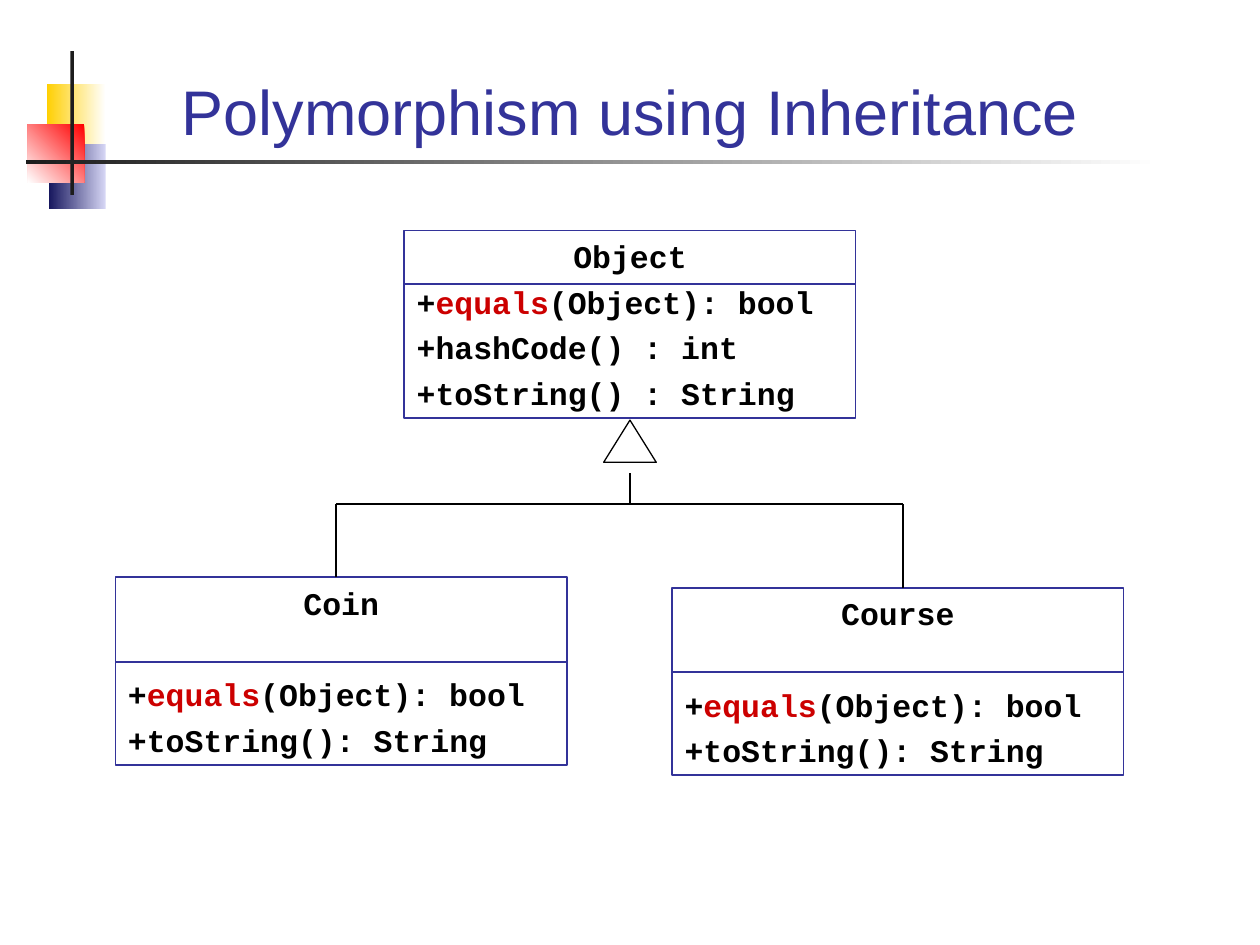
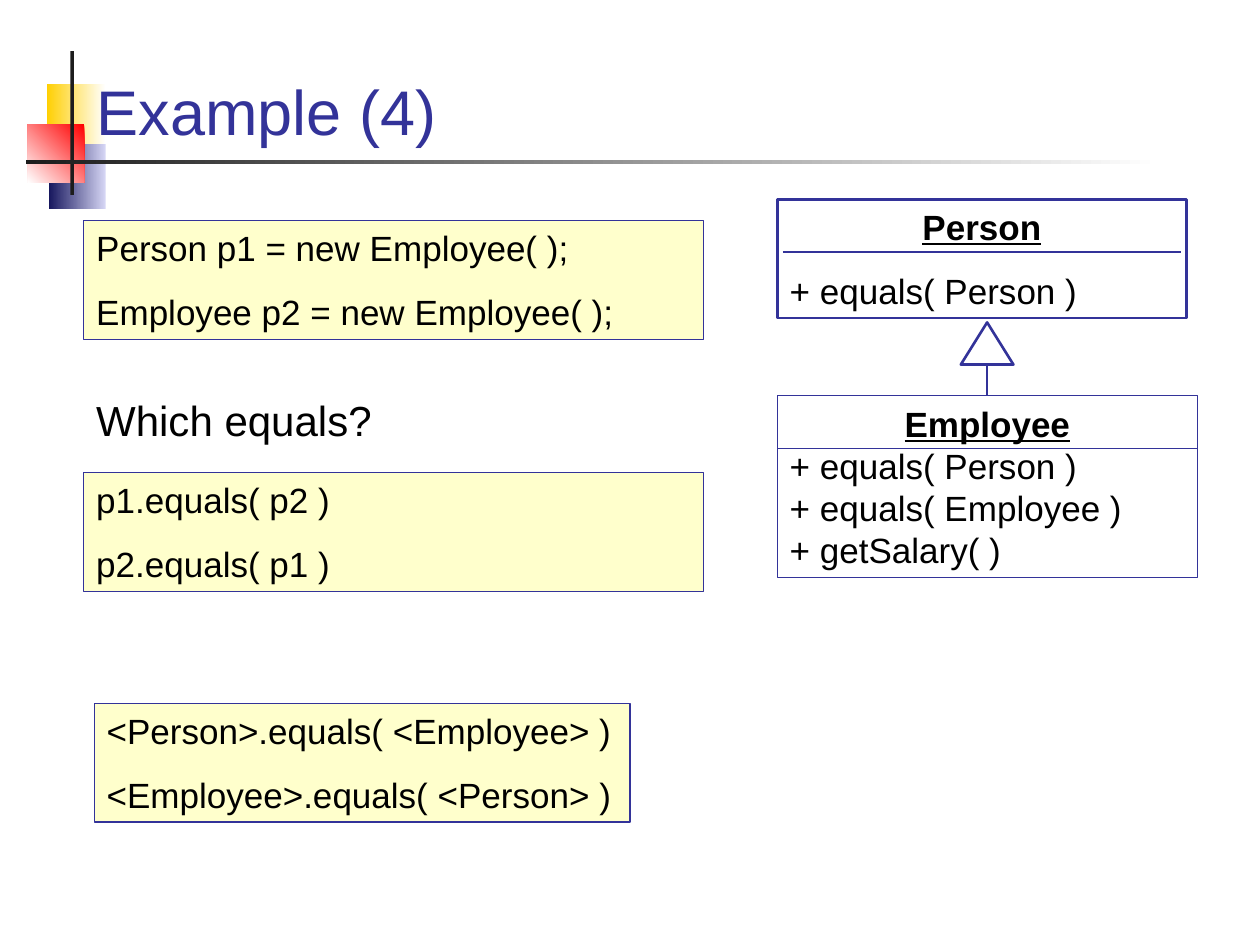
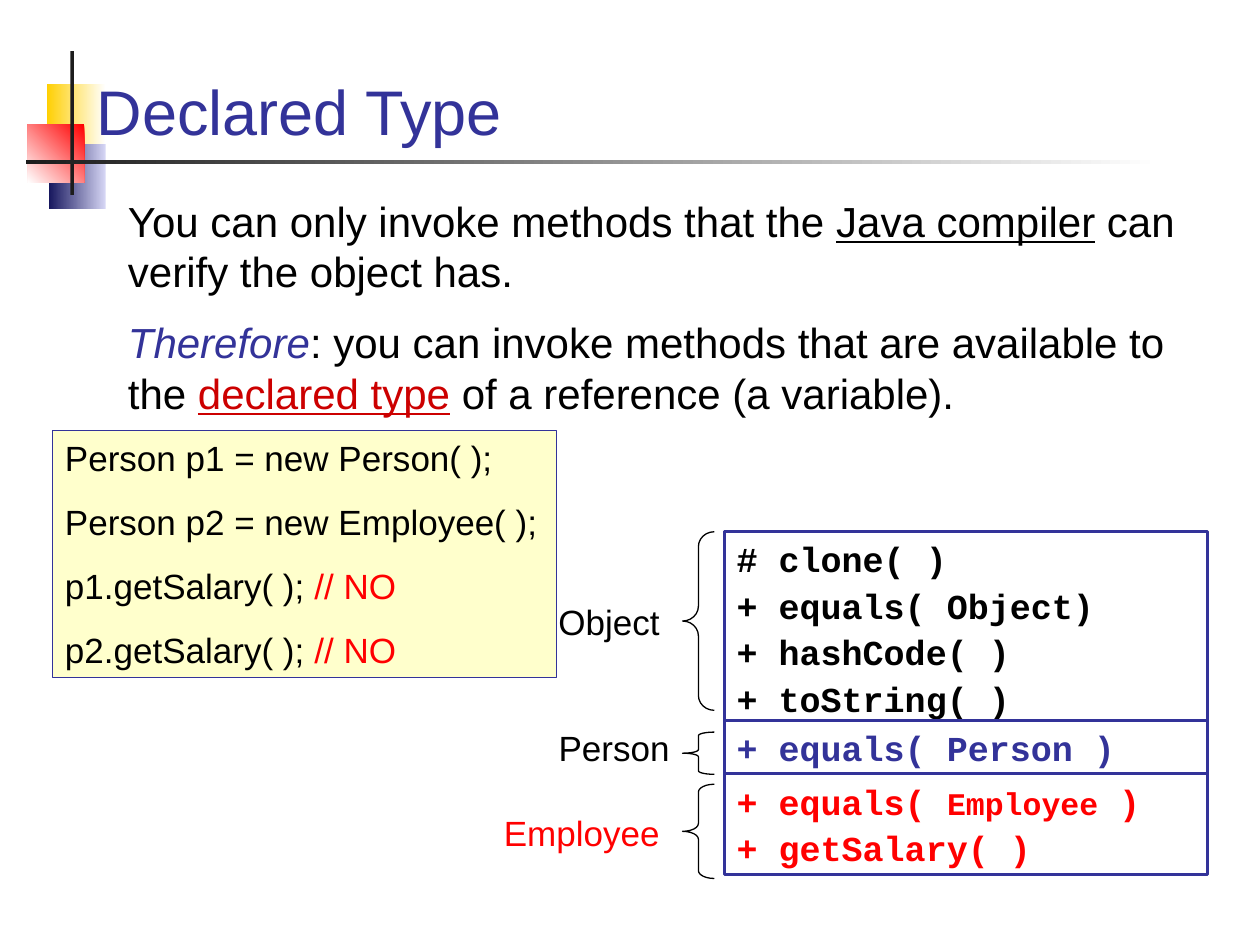
from lxml.etree import SubElement
from pptx import Presentation
from pptx.dml.color import RGBColor
from pptx.enum.shapes import MSO_CONNECTOR, MSO_SHAPE
from pptx.enum.text import MSO_ANCHOR, PP_ALIGN
from pptx.oxml.ns import qn
from pptx.util import Cm, Pt

BLUE, BLACK, WHITE = "333399", "000000", "FFFFFF"
CRIMSON, RED, CREAM, DARK = "CC0000", "FF0000", "FFFFCC", "1C1C1C"
SANS, MONO = "Arial", "Courier New"
hue = RGBColor.from_string


def box(slide, place, fill=None, edge=None, width=0.75, kind=MSO_SHAPE.RECTANGLE):
    """Add a preset shape at place (left, top, width, height in cm)."""
    shape = slide.shapes.add_shape(kind, *map(Cm, place))
    shape.shadow.inherit = False
    if fill:
        shape.fill.solid()
        shape.fill.fore_color.rgb = hue(fill)
    else:
        shape.fill.background()
    if edge:
        shape.line.color.rgb = hue(edge)
        shape.line.width = Pt(width)
    else:
        shape.line.fill.background()
    return shape


def write(shape, paras, font=SANS, size=20, gap=12.5):
    """Fill a shape with paragraphs of (text, colour, marks) runs; marks are b, i, u."""
    frame = shape.text_frame
    frame.word_wrap = True
    frame.vertical_anchor = MSO_ANCHOR.TOP
    for i, runs in enumerate(paras):
        para = frame.paragraphs[0] if i == 0 else frame.add_paragraph()
        para.alignment = PP_ALIGN.LEFT
        para.space_before = Pt(gap if i else 0)
        for text, color, marks in runs:
            run = para.add_run()
            run.text = text
            run.font.name, run.font.size = font, Pt(size)
            run.font.color.rgb = hue(color)
            run.font.bold = "b" in marks
            run.font.italic = "i" in marks
            run.font.underline = "u" in marks
    return frame.paragraphs


deck = Presentation()
deck.slide_width, deck.slide_height = Cm(25.4), Cm(19.05)
layout = deck.slide_layouts[5]

# Title place, shared by all slides
head = layout.placeholders[0]
head.left, head.top, head.width, head.height = Cm(1.7), Cm(0.71), Cm(22), Cm(2.41)
head.text_frame.vertical_anchor = MSO_ANCHOR.BOTTOM

slides = []
for title, align in [
    ("Polymorphism using Inheritance", PP_ALIGN.CENTER),
    ("Example (4)", PP_ALIGN.LEFT),
    ("Declared Type", PP_ALIGN.LEFT),
]:
    slide = deck.slides.add_slide(layout)
    para = slide.shapes.title.text_frame.paragraphs[0]
    para.alignment = align
    run = para.add_run()
    run.text = title
    run.font.name, run.font.size = SANS, Pt(36)
    run.font.color.rgb = hue(BLUE)
    slides.append(slide)
family, example, declared = slides

# Corner squares and bars, moved to the layout behind its title
for i, (place, start, end, angle) in enumerate([
    ((0.94, 1.7, 1.19, 1.32), WHITE, "FFCF01", 180),
    ((0.99, 2.9, 1.14, 1.32), "D6D6F5", "17175E", 180),
    ((0.56, 2.51, 1.14, 1.17), RED, WHITE, 225),
    ((1.42, 1.02, 0.08, 2.92), DARK, DARK, 180),
    ((0.53, 3.23, 22.86, 0.08), WHITE, DARK, 180),
]):
    part = box(family, place)
    part.fill.gradient()
    part.fill.gradient_angle = angle
    for stop, color in zip(part.fill.gradient_stops, (start, end)):
        stop.color.rgb = hue(color)
    part.element.nvSpPr.cNvPr.set("id", str(100 + i))
    layout.shapes.element.insert(2 + i, part.element)

# Slide 1: class tree
equals = [("+", BLACK, "b"), ("equals", CRIMSON, "b"), ("(Object): bool", BLACK, "b")]
for name, left, top, methods, drop in [
    ("Object", 8.15, 4.65, ["+hashCode() : int", "+toString() : String"], 4.5),
    ("Coin", 2.33, 11.64, ["+toString(): String"], 30.8),
    ("Course", 13.55, 11.85, ["+toString(): String"], 30.8),
]:
    card = box(family, (left, top, 9.1, 3.78), edge=BLUE, width=1)
    rows = [[(name, BLACK, "b")], equals] + [[(text, BLACK, "b")] for text in methods]
    paras = write(card, rows, MONO, 18, 4.5)
    paras[0].alignment = PP_ALIGN.CENTER
    paras[1].space_before = Pt(drop)
box(family, (12.17, 8.47, 1.06, 0.85), WHITE, BLACK, kind=MSO_SHAPE.ISOSCELES_TRIANGLE)

# Slide 2: classes and code
for name, place, width, gap, methods in [
    ("Person", (15.67, 4.02, 8.25, 2.39), 1.5, 12.5, ["+ equals( Person )"]),
    ("Employee", (15.67, 7.98, 8.47, 3.66), 0.75, 0,
     ["+ equals( Person )", "+ equals( Employee )", "+ getSalary( )"]),
]:
    card = box(example, place, edge=BLUE, width=width)
    rows = [[(name, BLACK, "bu")]] + [[(text, BLACK, "")] for text in methods]
    write(card, rows, gap=gap)[0].alignment = PP_ALIGN.CENTER
box(example, (19.37, 6.5, 1.06, 0.85), edge=BLUE, width=1.5,
    kind=MSO_SHAPE.ISOSCELES_TRIANGLE)

for left, top, width, code in [
    (1.69, 4.45, 12.5, ["Person p1 = new Employee( );", "Employee p2 = new Employee( );"]),
    (1.69, 9.53, 12.5, ["p1.equals( p2 )", "p2.equals( p1 )"]),
    (1.9, 14.18, 10.8, ["<Person>.equals( <Employee> )", "<Employee>.equals( <Person> )"]),
]:
    panel = box(example, (left, top, width, 2.39), CREAM, BLUE)
    write(panel, [[(text, BLACK, "")] for text in code])
ask = example.shapes.add_textbox(Cm(1.69), Cm(7.83), Cm(12.5), Cm(1.27))
write(ask, [[("Which equals?", BLACK, "")]], size=24)

# Slide 3: rule, code and methods by class
body = declared.shapes.add_textbox(Cm(2.33), Cm(3.81), Cm(21.8), Cm(4.9))
write(body, [
    [("You can only invoke methods that the ", BLACK, ""),
     ("Java compiler", BLACK, "u"),
     (" can verify the object has.", BLACK, "")],
    [("Therefore", BLUE, "i"),
     (": you can invoke methods that are available to the ", BLACK, ""),
     ("declared type", CRIMSON, "u"),
     (" of a reference (a variable).", BLACK, "")],
], size=24, gap=12)

panel = box(declared, (1.06, 8.68, 10.16, 4.98), CREAM, BLUE)
write(panel, [
    [("Person p1 = new Person( );", BLACK, "")],
    [("Person p2 = new Employee( );", BLACK, "")],
    [("p1.getSalary( ); ", BLACK, ""), ("// NO", RED, "")],
    [("p2.getSalary( ); ", BLACK, ""), ("// NO", RED, "")],
])

for top, high, color, methods in [
    (10.72, 3.91, BLACK,
     [["# clone( )"], ["+ equals( Object)"], ["+ hashCode( )"], ["+ toString( )"]]),
    (14.52, 1.11, BLUE, [["+ equals( Person )"]]),
    (15.6, 2.03, RED, [["+ equals( ", "Employee", " )"], ["+ getSalary( )"]]),
]:
    card = box(declared, (14.6, top, 9.74, high), WHITE, BLUE, 1.5)
    rows = [[(text, color, "b") for text in parts] for parts in methods]
    paras = write(card, rows, MONO, gap=2.5)
paras[0].runs[1].font.size = Pt(18)

for name, color, left, top, start, high in [
    ("Object", BLACK, 9.53, 11.98, 10.72, 3.6),
    ("Person", BLACK, 9.73, 14.52, 14.76, 0.85),
    ("Employee", RED, 9.53, 16.24, 15.81, 1.9),
]:
    label = declared.shapes.add_textbox(Cm(left), Cm(top), Cm(4.02), Cm(1.11))
    write(label, [[(name, color, "")]])[0].alignment = PP_ALIGN.RIGHT
    brace = box(declared, (13.76, start, 0.64, high), edge=BLACK, kind=MSO_SHAPE.LEFT_BRACE)
    brace.adjustments[0] = high / 0.64 / 12

# Dividers and branches
for slide, ends, color, width in [
    (family, (8.15, 5.72, 17.25, 5.72), BLUE, 1),
    (family, (2.33, 13.34, 11.43, 13.34), BLUE, 1),
    (family, (13.55, 13.55, 22.65, 13.55), BLUE, 1),
    (family, (6.77, 11.64, 6.77, 10.16), BLACK, 1),
    (family, (18.2, 11.85, 18.2, 10.16), BLACK, 1),
    (family, (6.77, 10.16, 18.2, 10.16), BLACK, 1),
    (family, (12.7, 10.16, 12.7, 9.53), BLACK, 0.75),
    (example, (15.78, 5.08, 23.81, 5.08), BLUE, 1),
    (example, (19.9, 7.98, 19.9, 7.35), BLUE, 1.5),
    (example, (15.67, 9.04, 24.14, 9.04), BLUE, 0.75),
]:
    line = slide.shapes.add_connector(MSO_CONNECTOR.STRAIGHT, *map(Cm, ends))
    line.line.color.rgb = hue(color)
    line.line.width = Pt(width)
    SubElement(line.element.spPr, qn("a:effectLst"))

deck.save("out.pptx")
